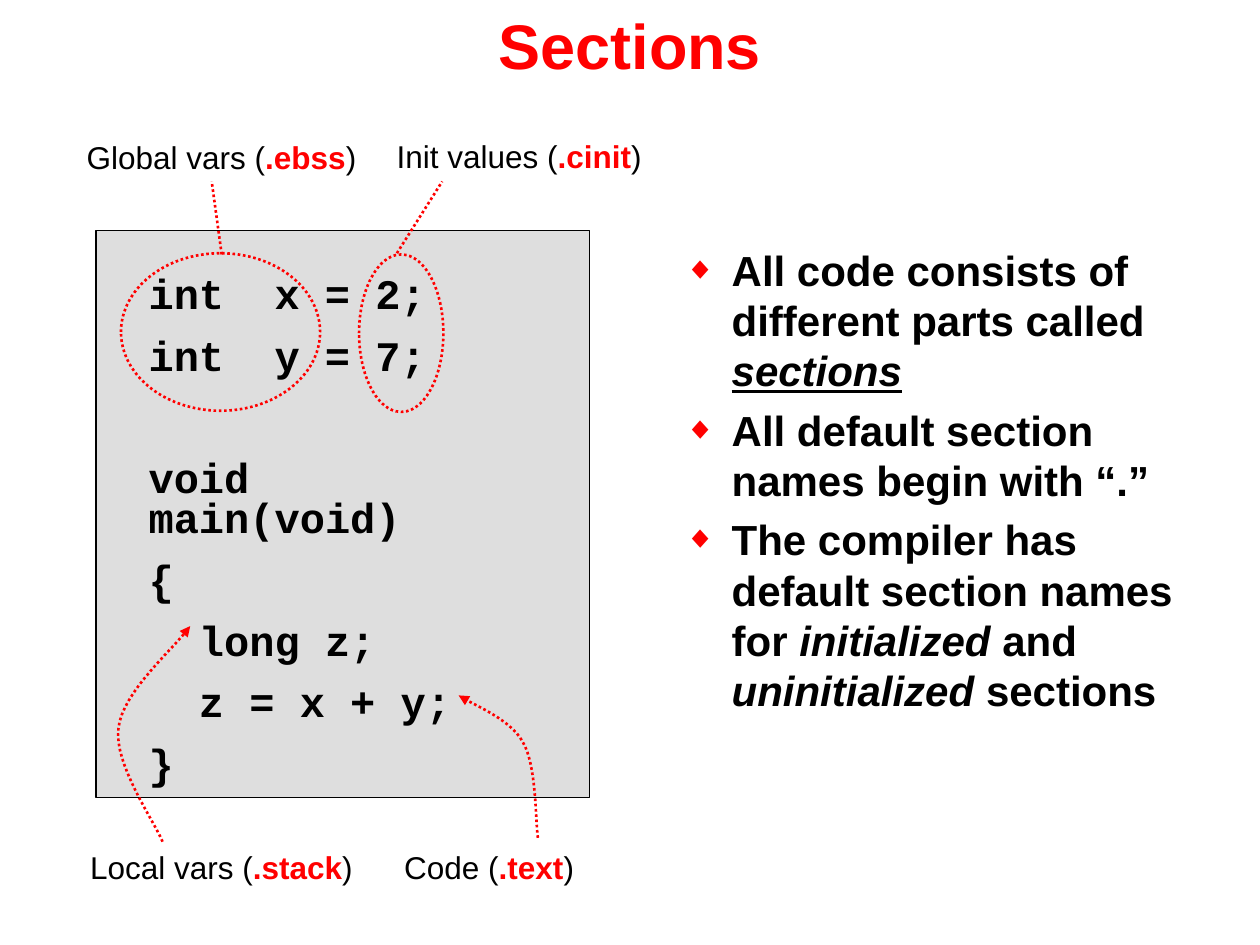
from lxml import etree
from pptx import Presentation
from pptx.dml.color import RGBColor
from pptx.enum import dml, shapes, text
from pptx.oxml.ns import qn
from pptx.util import Pt

RED, BLACK, GREY = "FF0000", "000000", "DEDEDE"
LEFT, CENTER = text.PP_ALIGN.LEFT, text.PP_ALIGN.CENTER


def rgb(value):
    return RGBColor.from_string(value)


def sub(parent, tag, **attrs):
    return etree.SubElement(parent, qn(tag), attrs)


def style_line(sp, color, width, dotted=True):
    sp.line.color.rgb = rgb(color)
    sp.line.width = Pt(width)
    if dotted:
        sp.line.dash_style = dml.MSO_LINE.ROUND_DOT


def add_run(p, content, size, font="Arial", color=BLACK, bold=False,
            italic=False, underline=False):
    r = p.add_run()
    r.text = content
    f = r.font
    f.size, f.name, f.color.rgb = Pt(size), font, rgb(color)
    f.bold, f.italic, f.underline = bold, italic, underline


def add_bullet(p):
    pPr = p._p.get_or_add_pPr()
    pPr.set("marL", str(Pt(27)))
    pPr.set("indent", str(-Pt(27)))
    sub(sub(pPr, "a:buClr"), "a:srgbClr", val=RED)
    sub(pPr, "a:buSzPct", val="75000")
    sub(pPr, "a:buFont", typeface="Arial")
    sub(pPr, "a:buChar", char="◆")


def add_text(s, box, paragraphs, align=LEFT, spacing=1.0, gaps=(), bullet=False,
             anchor=text.MSO_ANCHOR.TOP, **base):
    tf = s.shapes.add_textbox(*map(Pt, box)).text_frame
    tf.word_wrap = True
    tf.vertical_anchor = anchor
    for i, runs in enumerate(paragraphs):
        p = tf.paragraphs[0] if i == 0 else tf.add_paragraph()
        p.alignment, p.line_spacing = align, spacing
        if i:
            p.space_before = Pt(gaps[i - 1])
        if bullet:
            add_bullet(p)
        for content, extra in runs:
            add_run(p, content, **{**base, **extra})


def add_label(s, box, name, section, align=LEFT):
    runs = [(f"{name} (", {}), (section, {"color": RED, "bold": True}), (")", {})]
    add_text(s, box, [runs], align=align, spacing=0.8, size=18)


def add_code_panel(s):
    sp = s.shapes.add_shape(shapes.MSO_SHAPE.RECTANGLE,
                            *map(Pt, (54.7, 131.8, 282.2, 324)))
    sp.shadow.inherit = False
    sp.fill.solid()
    sp.fill.fore_color.rgb = rgb(GREY)
    style_line(sp, BLACK, 1, dotted=False)
    code = ["int\tx = 2;", "int\ty = 7;", "void main(void)", "{",
            "  long z;", "  z = x + y;", "}"]
    gap, line = 12, 35
    add_text(s, (77.8, 155, 228, 292), [[(c, {})] for c in code], spacing=0.8,
             gaps=[gap, gap + line] + [gap] * 4,
             size=24, font="Courier New", bold=True)


def add_ring(s, box):
    sp = s.shapes.add_shape(shapes.MSO_SHAPE.OVAL, *map(Pt, box))
    sp.shadow.inherit = False
    sp.fill.background()
    style_line(sp, RED, 1.5)


def add_leader(s, start, end):
    c = s.shapes.add_connector(shapes.MSO_CONNECTOR.STRAIGHT,
                               *map(Pt, start + end))
    style_line(c, RED, 1.5)
    sub(c._element.spPr, "a:effectLst")


def bezier(a, b, c, d, steps=16):
    for i in range(1, steps + 1):
        t = i / steps
        k = 1 - t
        yield tuple(Pt(k**3 * w + 3 * k * k * t * x + 3 * k * t * t * y + t**3 * z)
                    for w, x, y, z in zip(a, b, c, d))


def add_curved_arrow(s, start, *segments):
    points, here = [], start
    for c1, c2, end in segments:
        points += bezier(here, c1, c2, end)
        here = end
    fb = s.shapes.build_freeform(Pt(start[0]), Pt(start[1]))
    fb.add_line_segments(points, close=False)
    sp = fb.convert_to_shape()
    sp.shadow.inherit = False
    sp.fill.background()
    style_line(sp, RED, 1.5)
    sub(sp.line._get_or_add_ln(), "a:tailEnd", type="triangle")


def add_points(s):
    italic = {"italic": True}
    points = [
        [("All code consists of different parts called ", {}),
         ("sections", {"italic": True, "underline": True})],
        [("All default section names begin with “.”", {})],
        [("The compiler has default section names for ", {}),
         ("initialized", italic), (" and ", {}),
         ("uninitialized", italic), (" sections", {})],
    ]
    add_text(s, (384, 136, 306, 260), points, gaps=[5, 5],
             bullet=True, size=24, bold=True)


def main():
    prs = Presentation()
    prs.slide_width, prs.slide_height = Pt(720), Pt(540)
    s = prs.slides.add_slide(prs.slide_layouts[6])
    add_text(s, (0, 0, 720, 50.3), [[("Sections", {})]], align=CENTER,
             anchor=text.MSO_ANCHOR.MIDDLE, size=36, color=RED, bold=True)
    add_points(s)
    add_code_panel(s)
    add_ring(s, (69.1, 144.7, 113.8, 90))
    add_leader(s, (126.7, 145.4), (121, 103.7))
    add_ring(s, (205.2, 145.4, 48.2, 90))
    add_leader(s, (226.8, 144.7), (252.7, 103.7))
    add_label(s, (42.5, 79.3, 172, 24.5), "Global vars", ".ebss")
    add_label(s, (219.6, 78.8, 160, 24.5), "Init values", ".cinit")
    add_label(s, (42.5, 485.3, 168, 24.5), "Local vars", ".stack", CENTER)
    add_label(s, (222.5, 485.3, 114, 24.5), "Code", ".text", CENTER)
    add_curved_arrow(s, (307.4, 478.8),
                     ((306, 469.4), (306.7, 437), (298.8, 424.1)),
                     ((291.6, 410.4), (269.3, 402.5), (262.1, 397.4)))
    add_curved_arrow(s, (92.9, 481),
                     ((88.6, 470.2), (64.8, 436.3), (67.7, 416.2)),
                     ((69.8, 395.3), (100.1, 370.1), (108.7, 357.8)))
    prs.save("out.pptx")


if __name__ == "__main__":
    main()
